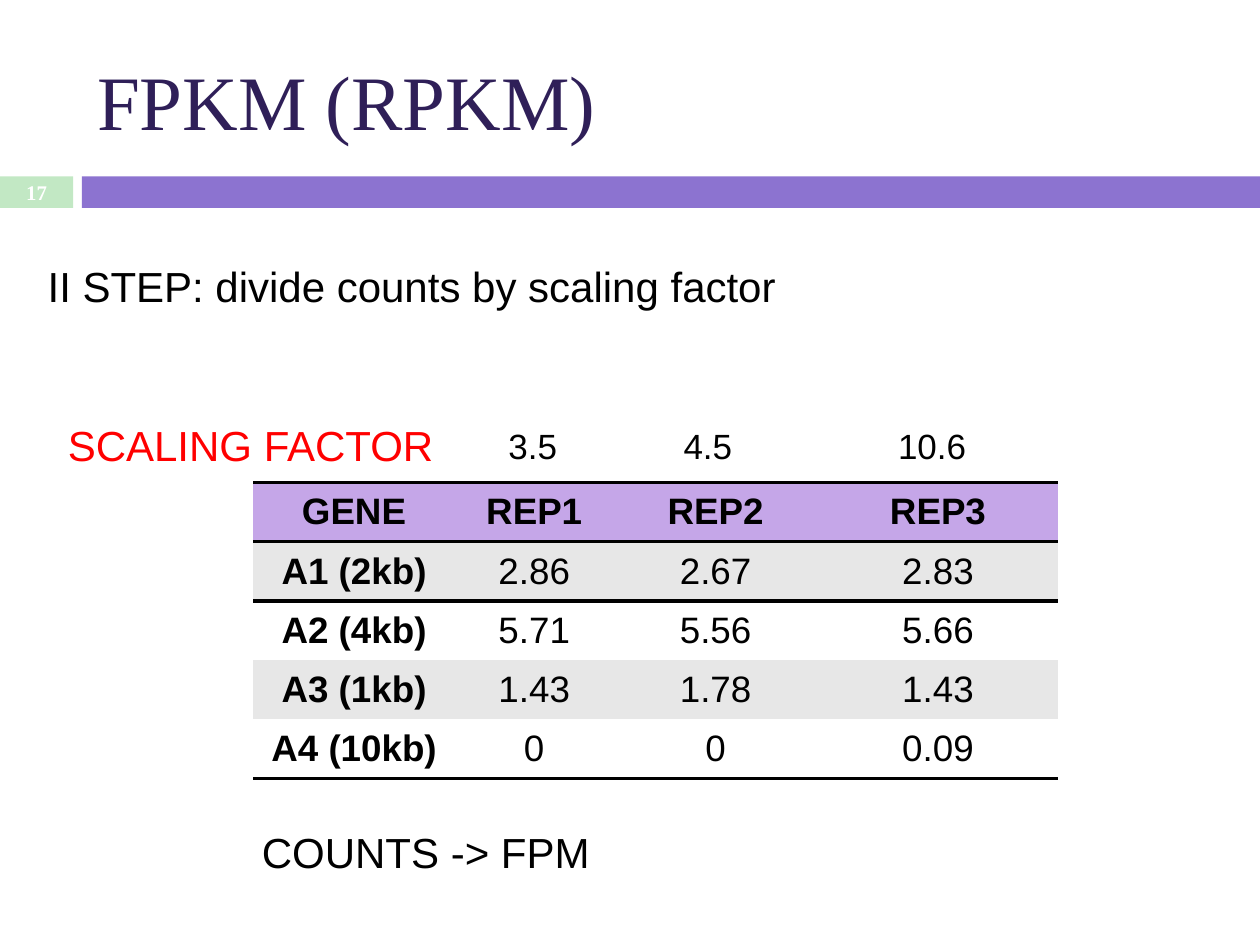
from lxml import etree
from pptx import Presentation
from pptx.dml.color import RGBColor
from pptx.enum.shapes import MSO_SHAPE
from pptx.enum.text import MSO_ANCHOR, PP_ALIGN
from pptx.oxml.ns import qn
from pptx.util import Inches, Pt

# Content
TITLE = "FPKM (RPKM)"
NUMBER = "17"
STEP = "II STEP: divide counts by scaling factor"
FACTOR_LABEL = "SCALING FACTOR"
FACTORS = ["3.5", "4.5", "10.6"]
FACTOR_TABS = [1.04, 2.43, 4.21]
RESULT = "COUNTS -> FPM"
ROWS = [
    ("GENE", "REP1", "REP2", "REP3"),
    ("A1 (2kb)", "2.86", "2.67", "2.83"),
    ("A2 (4kb)", "5.71", "5.56", "5.66"),
    ("A3 (1kb)", "1.43", "1.78", "1.43"),
    ("A4 (10kb)", "0", "0", "0.09"),
]
COL_WIDTHS = [1.6, 1.26, 1.62, 1.91]
ROW_HEIGHT = 0.464
COLORS = {
    "green": "C2E8C4", "purple": "8C73D0", "title": "2F1F58",
    "header": "C5A6E8", "band": "E7E7E7", "white": "FFFFFF",
    "black": "000000", "red": "FF0000",
}
NO_STYLE = "{2D5ABB26-0587-4C30-8999-92F81FD0307C}"


def rgb(name):
    return RGBColor.from_string(COLORS[name])


def write(tf, text, size=24, font="Arial", color="black", bold=False,
          align=PP_ALIGN.LEFT, anchor=MSO_ANCHOR.TOP, wrap=True, tabs=()):
    tf.word_wrap = wrap
    tf.vertical_anchor = anchor
    p = tf.paragraphs[0]
    p.text = text
    p.alignment = align
    if tabs:
        tab_list = etree.SubElement(p._p.get_or_add_pPr(), qn("a:tabLst"))
        for pos in tabs:
            etree.SubElement(tab_list, qn("a:tab"), pos=str(Inches(pos)), algn="ctr")
    for r in p.runs:
        r.font.size, r.font.name, r.font.bold = Pt(size), font, bold
        r.font.color.rgb = rgb(color)


def add_text(slide, box, text, **fmt):
    sp = slide.shapes.add_textbox(*map(Inches, box))
    write(sp.text_frame, text, **fmt)
    return sp


def add_bar(slide, box, color):
    sp = slide.shapes.add_shape(MSO_SHAPE.RECTANGLE, *map(Inches, box))
    sp.shadow.inherit = False
    sp.fill.solid()
    sp.fill.fore_color.rgb = rgb(color)
    sp.line.fill.background()


def add_borders(cell, sides):
    """Rules go ahead of the fill inside the cell properties."""
    tc_pr = cell._tc.get_or_add_tcPr()
    for i, side in enumerate(sides):
        ln = etree.Element(qn(f"a:ln{side}"), w=str(Pt(2)))
        fill = etree.SubElement(ln, qn("a:solidFill"))
        etree.SubElement(fill, qn("a:srgbClr"), val=COLORS["black"])
        tc_pr.insert(i, ln)


def add_gene_table(slide):
    frame = slide.shapes.add_table(
        len(ROWS), len(COL_WIDTHS), Inches(2.01), Inches(3.83),
        Inches(sum(COL_WIDTHS)), Inches(ROW_HEIGHT * len(ROWS)))
    table = frame.table
    table._tbl.tblPr.find(qn("a:tableStyleId")).text = NO_STYLE
    for col, width in zip(table.columns, COL_WIDTHS):
        col.width = Inches(width)
    for i, values in enumerate(ROWS):
        table.rows[i].height = Inches(ROW_HEIGHT)
        fill = "header" if i == 0 else "band" if i % 2 else "white"
        sides = {0: "TB", 1: "T", len(ROWS) - 1: "B"}.get(i, "")
        for j, value in enumerate(values):
            cell = table.cell(i, j)
            cell.margin_left = cell.margin_right = Inches(0.11)
            cell.margin_top = cell.margin_bottom = Inches(0.06)
            cell.vertical_anchor = MSO_ANCHOR.MIDDLE
            cell.fill.solid()
            cell.fill.fore_color.rgb = rgb(fill)
            write(cell.text_frame, value, size=21, bold=i == 0 or j == 0,
                  align=PP_ALIGN.CENTER)
            add_borders(cell, sides)


def main():
    prs = Presentation()
    prs.slide_width, prs.slide_height = Inches(10), Inches(7.5)
    s = prs.slides.add_slide(prs.slide_layouts[5])

    # Header bars, title and slide number
    add_bar(s, (0, 1.4, 0.58, 0.25), "green")
    add_bar(s, (0.65, 1.4, 9.35, 0.25), "purple")
    title = s.shapes.title
    title.left, title.top, title.width, title.height = map(
        Inches, (0.67, 0.25, 8.92, 1.08))
    write(title.text_frame, TITLE, size=44, font="Times New Roman",
          color="title", anchor=MSO_ANCHOR.MIDDLE)
    number = add_text(s, (0, 1.39, 0.58, 0.27), NUMBER, size=11.9,
                      font="Times New Roman", color="white", bold=True,
                      align=PP_ALIGN.CENTER, anchor=MSO_ANCHOR.MIDDLE)
    number.text_frame.margin_top = number.text_frame.margin_bottom = 0

    # Table with the scaling factors above its columns
    add_gene_table(s)
    add_text(s, (0.28, 2.02, 6, 0.5), STEP)
    add_text(s, (3.09, 2.91, 4.94, 0.84), "\t" + "\t".join(FACTORS), size=20,
             anchor=MSO_ANCHOR.BOTTOM, tabs=FACTOR_TABS)
    add_text(s, (0.44, 3.28, 3.13, 0.5), FACTOR_LABEL, color="red", wrap=False)
    add_text(s, (1.98, 6.51, 6, 0.5), RESULT)

    prs.save("out.pptx")


if __name__ == "__main__":
    main()
